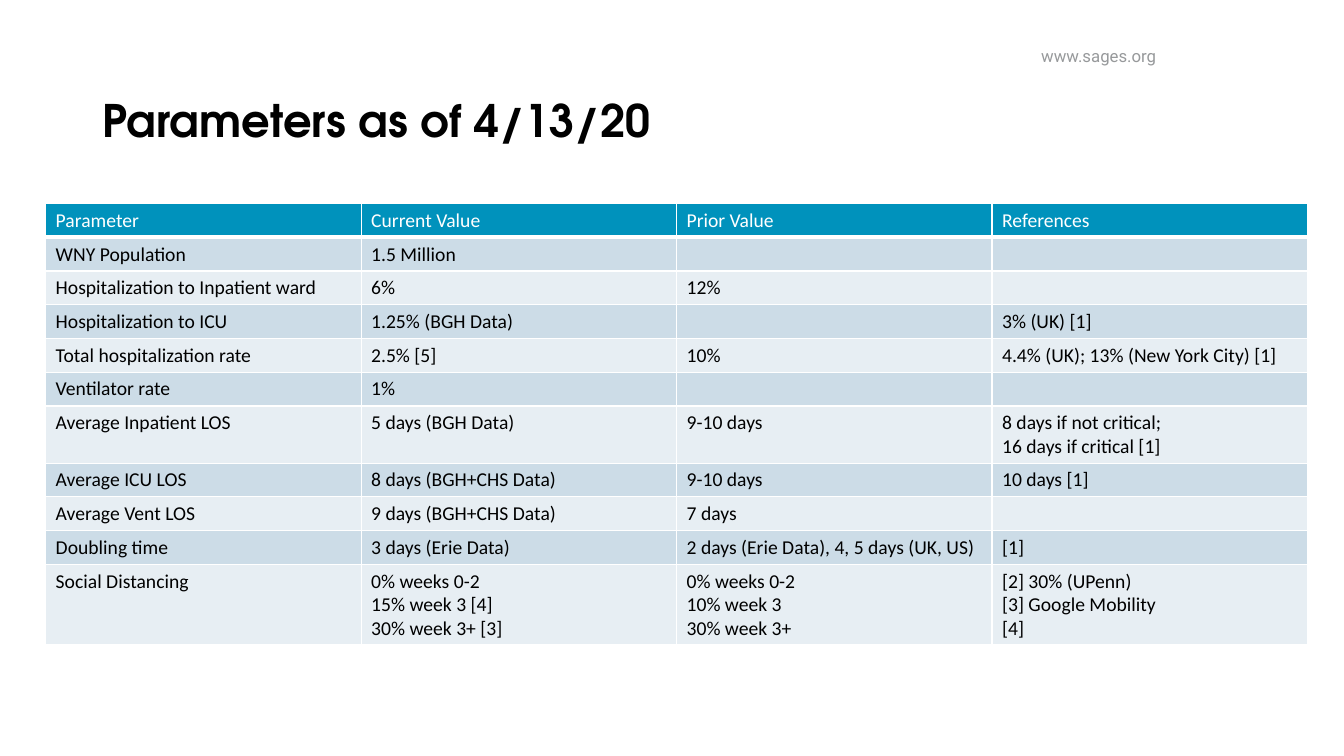
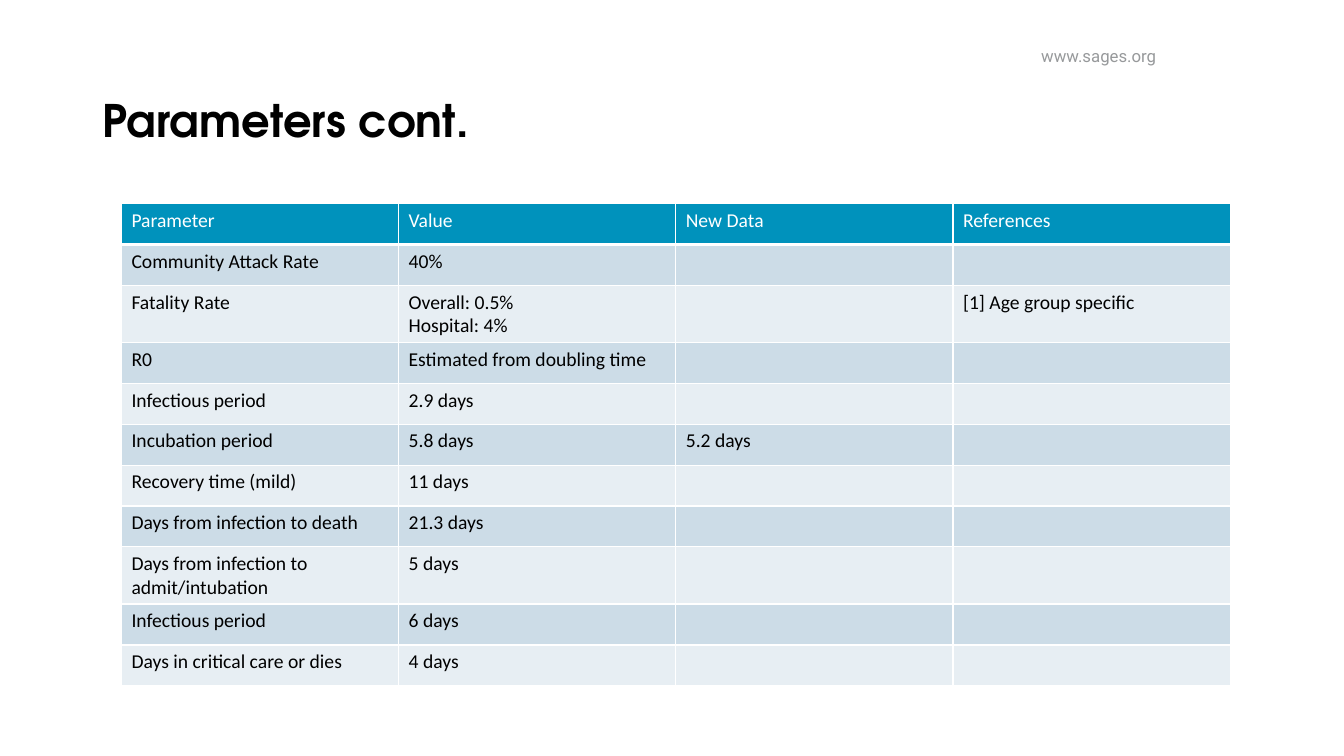
from lxml import etree
from pptx import Presentation
from pptx.dml.color import RGBColor
from pptx.enum.text import MSO_ANCHOR, PP_ALIGN
from pptx.oxml.ns import qn
from pptx.util import Cm, Pt

LEFT, RIGHT = PP_ALIGN.LEFT, PP_ALIGN.RIGHT
TOP = MSO_ANCHOR.TOP

SLIDE_WIDTH, SLIDE_HEIGHT = 33.87, 19.05
TABLE_TOP = 5.13

# Table contents: short rows are filled up with empty cells
CURRENT_PARAMETERS = [
    ["Parameter", "Current Value", "Prior Value", "References"],
    ["WNY Population", "1.5 Million"],
    ["Hospitalization to Inpatient ward", "6%", "12%"],
    ["Hospitalization to ICU", "1.25% (BGH Data)", "", "3% (UK) [1]"],
    ["Total hospitalization rate", "2.5% [5]", "10%",
     "4.4% (UK); 13% (New York City) [1]"],
    ["Ventilator rate", "1%"],
    ["Average Inpatient LOS", "5 days (BGH Data)", "9-10 days",
     "8 days if not critical;\n16 days if critical [1]"],
    ["Average ICU LOS", "8 days (BGH+CHS Data)", "9-10 days", "10 days [1]"],
    ["Average Vent LOS", "9 days (BGH+CHS Data)", "7 days"],
    ["Doubling time", "3 days (Erie Data)",
     "2 days (Erie Data), 4, 5 days (UK, US)", "[1]"],
    ["Social Distancing",
     "0% weeks 0-2\n15% week 3 [4]\n30% week 3+ [3]",
     "0% weeks 0-2\n10% week 3\n30% week 3+",
     "[2] 30% (UPenn)\n[3] Google Mobility\n[4]"],
]
FURTHER_PARAMETERS = [
    ["Parameter", "Value", "New Data", "References"],
    ["Community Attack Rate", "40%"],
    ["Fatality Rate", "Overall: 0.5%\nHospital: 4%", "",
     "[1] Age group specific"],
    ["R0", "Estimated from doubling time"],
    ["Infectious period", "2.9 days"],
    ["Incubation period", "5.8 days", "5.2 days"],
    ["Recovery time (mild)", "11 days"],
    ["Days from infection to death", "21.3 days"],
    ["Days from infection to admit/intubation", "5 days"],
    ["Infectious period", "6 days"],
    ["Days in critical care or dies", "4 days"],
]


def color(hex_string):
    return RGBColor.from_string(hex_string)


def write_text(frame, text, *, font, size, ink, bold=False, align=LEFT,
               line_spacing=None):
    """Write one paragraph per line of text."""
    for index, line in enumerate(text.split("\n")):
        paragraph = frame.paragraphs[0] if index == 0 else frame.add_paragraph()
        paragraph.alignment = align
        if line_spacing:
            paragraph.line_spacing = line_spacing
        if not line:
            # The end mark keeps an empty cell at the size of its row
            etree.SubElement(paragraph._p, qn("a:endParaRPr"),
                             sz=str(size * 100))
            continue
        run = paragraph.add_run()
        run.text = line
        run.font.name = font
        run.font.size = Pt(size)
        run.font.bold = bold
        run.font.color.rgb = color(ink)


def set_borders(cell, ink, **widths):
    """Draw cell borders; call before filling, as lines precede the fill."""
    properties = cell._tc.get_or_add_tcPr()
    for side, width in widths.items():
        line = etree.SubElement(properties, qn(f"a:ln{side}"),
                                w=str(int(Pt(width))))
        fill = etree.SubElement(line, qn("a:solidFill"))
        etree.SubElement(fill, qn("a:srgbClr"), val=ink)


class Deck:
    TITLE = dict(font="TeX Gyre Adventor", size=32, ink="000000", bold=True,
                 line_spacing=0.9)
    ADDRESS = dict(font="Roboto", size=12, ink="97999B", align=RIGHT)
    CELL = dict(font="Calibri", size=14)
    WHITE, BLACK = "FFFFFF", "000000"
    HEADER_FILL = "0092BC"
    BAND_FILLS = ("E7EEF3", "CCDCE7")

    def __init__(self):
        self.presentation = Presentation()
        self.presentation.slide_width = Cm(SLIDE_WIDTH)
        self.presentation.slide_height = Cm(SLIDE_HEIGHT)
        self.slide = None

    def add_slide(self, title):
        blank = self.presentation.slide_layouts[6]
        self.slide = self.presentation.slides.add_slide(blank)
        self.add_text("www.sages.org", 22.15, 1.02, 7.24, 0.76, self.ADDRESS)
        self.add_text(title, 2.34, 2.36, 29.21, 3.02, self.TITLE)

    def add_text(self, text, left, top, width, height, style):
        box = self.slide.shapes.add_textbox(Cm(left), Cm(top),
                                            Cm(width), Cm(height))
        box.text_frame.word_wrap = True
        box.text_frame.vertical_anchor = TOP
        write_text(box.text_frame, text, **style)

    def add_table(self, rows, left, width, row_height):
        columns = len(rows[0])
        table = self.slide.shapes.add_table(
            len(rows), columns, Cm(left), Cm(TABLE_TOP), Cm(width),
            Cm(row_height * len(rows))).table
        table.horz_banding = False
        for row_index, values in enumerate(rows):
            is_header = row_index == 0
            fill = self.HEADER_FILL if is_header else self.BAND_FILLS[row_index % 2]
            ink = self.WHITE if is_header else self.BLACK
            for column in range(columns):
                cell = table.cell(row_index, column)
                set_borders(cell, self.WHITE, L=1, R=1, T=1,
                            B=3 if is_header else 1)
                cell.fill.solid()
                cell.fill.fore_color.rgb = color(fill)
                value = values[column] if column < len(values) else ""
                write_text(cell.text_frame, value, ink=ink, **self.CELL)

    def save(self):
        self.presentation.save("out.pptx")


def main():
    deck = Deck()

    # Current and prior values
    deck.add_slide("Parameters as of 4/13/20")
    deck.add_table(CURRENT_PARAMETERS, left=1.15, width=31.8, row_height=0.85)

    # Remaining parameters
    deck.add_slide("Parameters cont.")
    deck.add_table(FURTHER_PARAMETERS, left=3.06, width=27.94, row_height=1.03)

    deck.save()


if __name__ == "__main__":
    main()
